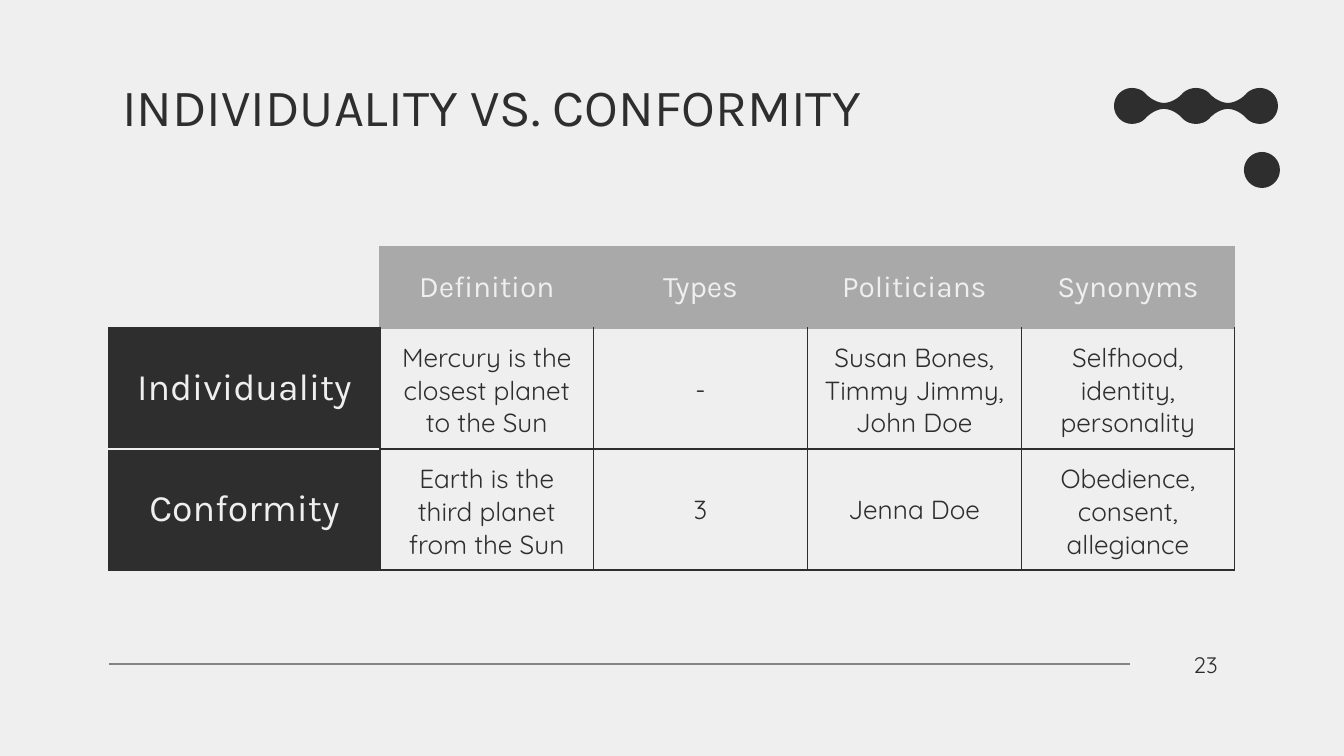
from dataclasses import dataclass

from lxml import etree
from pptx import Presentation
from pptx import util as u
from pptx.dml.color import RGBColor
from pptx.enum import shapes, text
from pptx.oxml import ns

WIDTH, HEIGHT = 1344, 756
SCALE = u.Inches(10) / WIDTH
PLAIN = "{2D5ABB26-0587-4C30-8999-92F81FD0307C}"


@dataclass(frozen=True)
class Theme:
    paper: str = "EFEFEF"
    ink: str = "2E2E2E"
    grey: str = "AAA9A9"
    rule: str = "838383"
    head: str = "Karla"
    body: str = "Quicksand"
    title: int = 28
    row: int = 20
    col: int = 16
    cell: int = 14
    page: int = 12
    line: float = 0.75


T = Theme()
SIDES = ("left", "right", "top", "bottom")
HEADS = ["Definition", "Types", "Politicians", "Synonyms"]
ROWS = [
    ("Individuality", "Mercury is the closest planet to the Sun", "-",
     "Susan Bones, Timmy Jimmy, John Doe", "Selfhood, identity, personality"),
    ("Conformity", "Earth is the third planet from the Sun", "3",
     "Jenna Doe", "Obedience, consent, allegiance"),
]


def px(n):
    return u.Emu(round(n * SCALE))


def rgb(code):
    return RGBColor.from_string(code)


def write(frame, words, size, face, color, align):
    frame.text = words
    para = frame.paragraphs[0]
    para.alignment = align
    font = para.runs[0].font
    font.size, font.name = u.Pt(size), face
    font.color.rgb = rgb(color)


def pad(box):
    box.vertical_anchor = text.MSO_ANCHOR.MIDDLE
    for side in SIDES:
        setattr(box, f"margin_{side}", u.Inches(0.1))


def add_text(slide, box, words, size, face, align=text.PP_ALIGN.LEFT):
    frame = slide.shapes.add_textbox(*map(px, box)).text_frame
    frame.word_wrap = True
    pad(frame)
    write(frame, words, size, face, T.ink, align)


def add_rule(slide, x1, x2, y):
    line = slide.shapes.add_connector(
        shapes.MSO_CONNECTOR.STRAIGHT, px(x1), px(y), px(x2), px(y))
    line.line.color.rgb = rgb(T.rule)
    line.line.width = u.Pt(T.line)
    etree.SubElement(line._element.spPr, ns.qn("a:effectLst"))


def bend(shape):
    """Turn every three straight segments into one cubic curve."""
    lines = list(shape._element.iter(ns.qn("a:lnTo")))
    for i in range(0, len(lines), 3):
        trio = lines[i:i + 3]
        arc = etree.Element(ns.qn("a:cubicBezTo"))
        trio[0].addprevious(arc)
        for line in trio:
            arc.append(line[0])
            line.getparent().remove(line)


def add_chain(slide, x, y, count, gap=64, r=18):
    """Draw a row of dots joined by thin necks, from first centre x, y."""
    half = [(0, r), (5, r), (10, 16), (13, 13), (17, 8), (25, 3), (gap / 2, 3)]
    neck = half[1:] + [(gap - a, b) for a, b in half[-2::-1]]
    top = [(i * gap + a, -b) for i in range(count - 1) for a, b in neck]
    end, k = (count - 1) * gap, r * 0.55
    cap = [(end + a, b) for a, b in
           [(k, -r), (r, -k), (r, 0), (r, k), (k, r), (0, r)]]
    side = top + cap
    ring = side + [(end - a, -b) for a, b in side]
    pen = slide.shapes.build_freeform(px(x), px(y - r))
    pen.add_line_segments([(px(x + a), px(y + b)) for a, b in ring],
                          close=True)
    shape = pen.convert_to_shape()
    bend(shape)
    shape.shadow.inherit = False
    shape.fill.solid()
    shape.fill.fore_color.rgb = rgb(T.ink)
    shape.line.fill.background()


def set_edges(cell, **edges):
    """Set borders from L, R, T, B colours; a missing side has no line."""
    props = cell._tc.get_or_add_tcPr()
    for i, side in enumerate("LRTB"):
        line = etree.Element(ns.qn(f"a:ln{side}"), w=str(u.Pt(T.line)))
        color = edges.get(side)
        if color:
            fill = etree.SubElement(line, ns.qn("a:solidFill"))
            etree.SubElement(fill, ns.qn("a:srgbClr"), val=color)
        else:
            etree.SubElement(line, ns.qn("a:noFill"))
        props.insert(i, line)


def fill_cell(cell, words, size, face, color, back=None):
    pad(cell)
    if back:
        cell.fill.solid()
        cell.fill.fore_color.rgb = rgb(back)
    else:
        cell.fill.background()
    if words:
        write(cell.text_frame, words, size, face, color, text.PP_ALIGN.CENTER)


def add_grid(slide):
    table = slide.shapes.add_table(
        3, 5, px(109), px(247), px(1126), px(285)).table
    table.first_row = table.horz_banding = False
    table._tbl.tblPr.find(ns.qn("a:tableStyleId")).text = PLAIN
    for i, col in enumerate(table.columns):
        col.width = px((1126 - 271) / 4 if i else 271)
    for i, row in enumerate(table.rows):
        row.height = px(102 if i else 81)

    corner = table.cell(0, 0)
    fill_cell(corner, "", T.col, T.head, T.paper)
    set_edges(corner, R=T.grey, B=T.ink)
    for c, name in enumerate(HEADS, 1):
        cell = table.cell(0, c)
        fill_cell(cell, name, T.col, T.head, T.paper, T.grey)
        set_edges(cell, L=T.grey, R=T.grey, T=T.grey, B=T.grey)
    for r, (name, *facts) in enumerate(ROWS, 1):
        cell = table.cell(r, 0)
        fill_cell(cell, name, T.row, T.head, T.paper, T.ink)
        first = r == 1
        set_edges(cell, L=T.ink, R=T.ink, T=T.ink if first else T.paper,
                  B=T.paper if first else T.ink)
        for c, fact in enumerate(facts, 1):
            cell = table.cell(r, c)
            fill_cell(cell, fact, T.cell, T.body, T.ink)
            set_edges(cell, L=T.ink, R=T.ink, T=T.grey if first else T.ink,
                      B=T.ink)


def main():
    deck = Presentation()
    deck.slide_width, deck.slide_height = px(WIDTH), px(HEIGHT)
    slide = deck.slides.add_slide(deck.slide_layouts[6])
    slide.background.fill.solid()
    slide.background.fill.fore_color.rgb = rgb(T.paper)
    add_rule(slide, 1130, 109, 664)
    add_chain(slide, 1262, 170, 1)
    add_chain(slide, 1132, 106, 3)
    add_text(slide, (1176, 651, 59, 28), "23", T.page, T.body,
             text.PP_ALIGN.CENTER)
    add_text(slide, (109, 78, 964, 56), "INDIVIDUALITY VS. CONFORMITY",
             T.title, T.head)
    add_grid(slide)
    deck.save("out.pptx")


if __name__ == "__main__":
    main()
